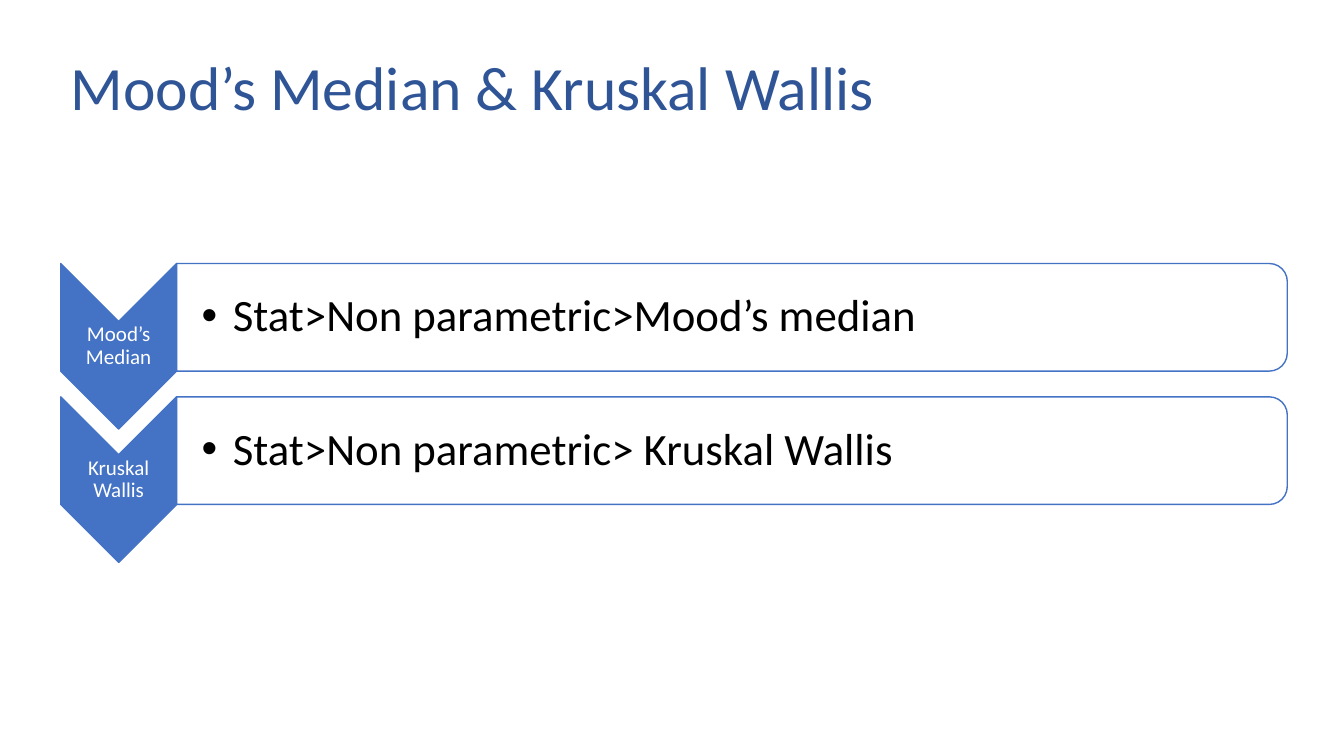
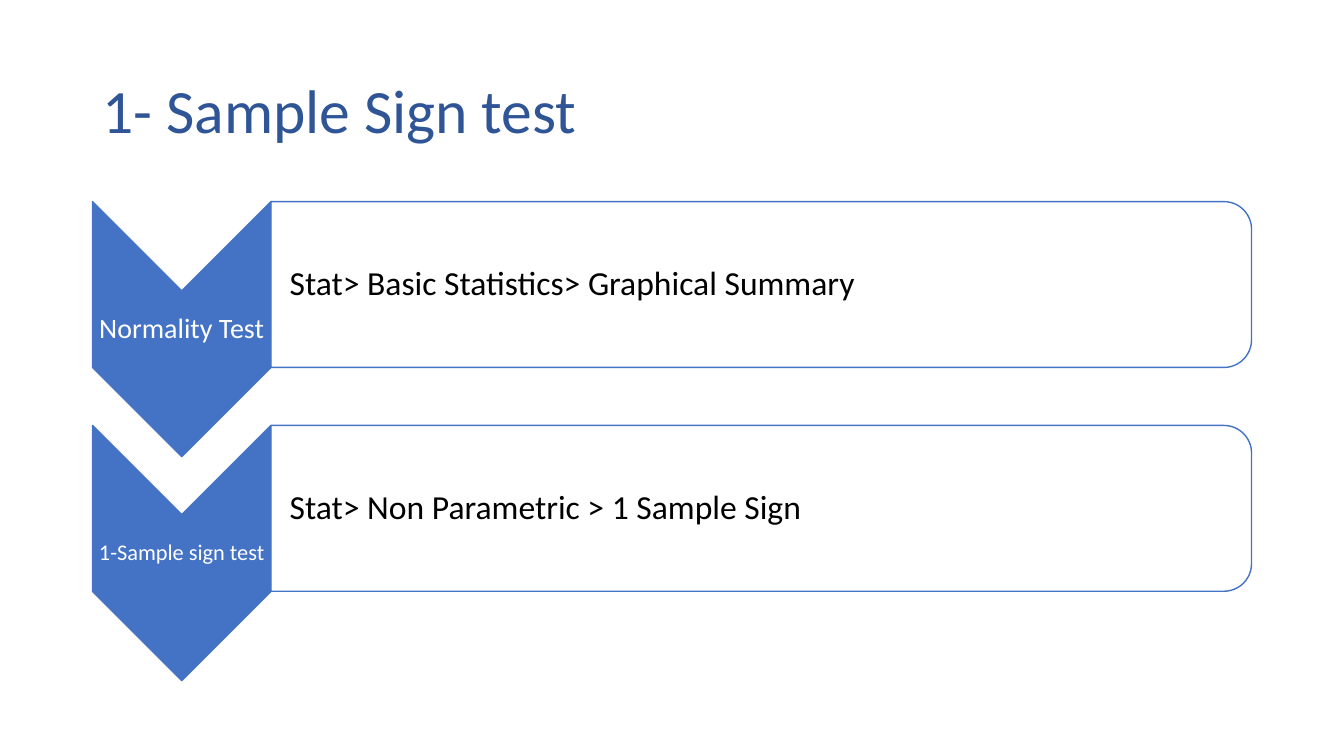
"""Build two slides of test steps, each a column of chevrons with bars."""
from lxml import etree
from pptx import Presentation
from pptx.dml.color import RGBColor
from pptx.enum.shapes import MSO_SHAPE
from pptx.enum.text import MSO_ANCHOR, MSO_AUTO_SIZE, PP_ALIGN
from pptx.oxml.ns import qn
from pptx.util import Cm, Pt

CHEVRON = MSO_SHAPE.CHEVRON
ROUND = MSO_SHAPE.ROUND_2_SAME_RECTANGLE
MIDDLE = MSO_ANCHOR.MIDDLE
FIXED = MSO_AUTO_SIZE.NONE
LEFT, CENTER = PP_ALIGN.LEFT, PP_ALIGN.CENTER

FONT = "Calibri"
COLORS = {"title": "2F5597", "accent": "4472C4", "white": "FFFFFF", "text": "000000"}
TITLE_ONLY = 5
TITLE_W, TITLE_H = 29.21, 3.68

SLIDES = [
    {
        "title": "Mood’s Median & Kruskal Wallis",
        "spot": (1.53, 0.43),
        "box": (1.53, 6.64, 30.91),
        "wide": 2.92,
        "step": 3.36,
        "size": 32,
        "inset": 0.63,
        "hang": 0.79,
        "rows": [
            ("Mood’s Median", 15, "Stat>Non parametric>Mood’s median"),
            ("Kruskal Wallis", 15, "Stat>Non parametric> Kruskal Wallis"),
        ],
    },
    {
        "title": "1- Sample Sign test",
        "spot": (2.33, 1.02),
        "box": (2.33, 5.08, 29.21),
        "wide": 4.5,
        "step": 5.64,
        "size": 24,
        "inset": 0.47,
        "hang": 0,
        "rows": [
            ("Normality Test", 20, "Stat> Basic Statistics> Graphical Summary"),
            ("1-Sample sign test", 16, "Stat> Non Parametric > 1 Sample Sign"),
        ],
    },
]


def color(name):
    """Return the named colour."""
    return RGBColor.from_string(COLORS[name])


def write(shape, text, size, tint="text", align=LEFT, pads=None, hang=0):
    """Write formatted text into a shape, with a hanging bullet if asked."""
    frame = shape.text_frame
    frame.word_wrap = True
    frame.auto_size = FIXED
    frame.vertical_anchor = MIDDLE
    if pads:
        frame.margin_left, frame.margin_right = Cm(pads[0]), Cm(pads[1])
        frame.margin_top = frame.margin_bottom = Cm(pads[1])
    para = frame.paragraphs[0]
    if hang:
        props = para._p.get_or_add_pPr()
        props.set("marL", str(Cm(hang)))
        props.set("indent", str(-Cm(hang)))
        etree.SubElement(props, qn("a:buFont"), typeface="Arial")
        etree.SubElement(props, qn("a:buChar"), char="•")
    para.alignment = align
    para.line_spacing = 0.9
    run = para.add_run()
    run.text = text
    run.font.name = FONT
    run.font.size = Pt(size)
    run.font.color.rgb = color(tint)


def turn(slide, kind, box, fill):
    """Add a shape turned a quarter so that it fills the given box."""
    x, y, w, h = box
    shape = slide.shapes.add_shape(
        kind, Cm(x + (w - h) / 2), Cm(y + (h - w) / 2), Cm(h), Cm(w)
    )
    shape.rotation = 90
    shape.shadow.inherit = False
    shape.fill.solid()
    shape.fill.fore_color.rgb = color(fill)
    shape.line.color.rgb = color("accent")
    shape.line.width = Pt(1)
    return shape


def label(slide, box, text, size, **form):
    """Add a text box over the given box."""
    write(slide.shapes.add_textbox(*map(Cm, box)), text, size, **form)


def add_row(slide, box, wide, row, data):
    """Place a chevron with its name and a bar with its menu route."""
    x, y, w = box
    name, size, route = row
    tall = wide / 0.7
    turn(slide, CHEVRON, (x, y, wide, tall), "accent")
    label(slide, (x, y + wide / 2, wide, tall - wide), name, size,
          tint="white", align=CENTER, pads=(0.03, 0.03))
    bar = (x + wide, y, w - wide, tall * 0.65)
    shape = turn(slide, ROUND, bar, "white")
    tone = shape.fill._xPr.find(qn("a:solidFill"))[0]
    etree.SubElement(tone, qn("a:alpha"), val="90000")
    label(slide, bar, route, data["size"],
          pads=(data["inset"], 0.05), hang=data["hang"])


def add_slide(deck, data):
    """Add one slide with its title and rows."""
    slide = deck.slides.add_slide(deck.slide_layouts[TITLE_ONLY])
    title = slide.shapes.title
    title.left, title.top = map(Cm, data["spot"])
    title.width, title.height = Cm(TITLE_W), Cm(TITLE_H)
    write(title, data["title"], 44, tint="title")
    x, y, w = data["box"]
    for i, row in enumerate(data["rows"]):
        add_row(slide, (x, y + i * data["step"], w), data["wide"], row, data)


def main():
    """Build and save the deck."""
    deck = Presentation()
    deck.slide_width, deck.slide_height = Cm(33.87), Cm(19.05)
    for data in SLIDES:
        add_slide(deck, data)
    deck.save("out.pptx")


if __name__ == "__main__":
    main()
